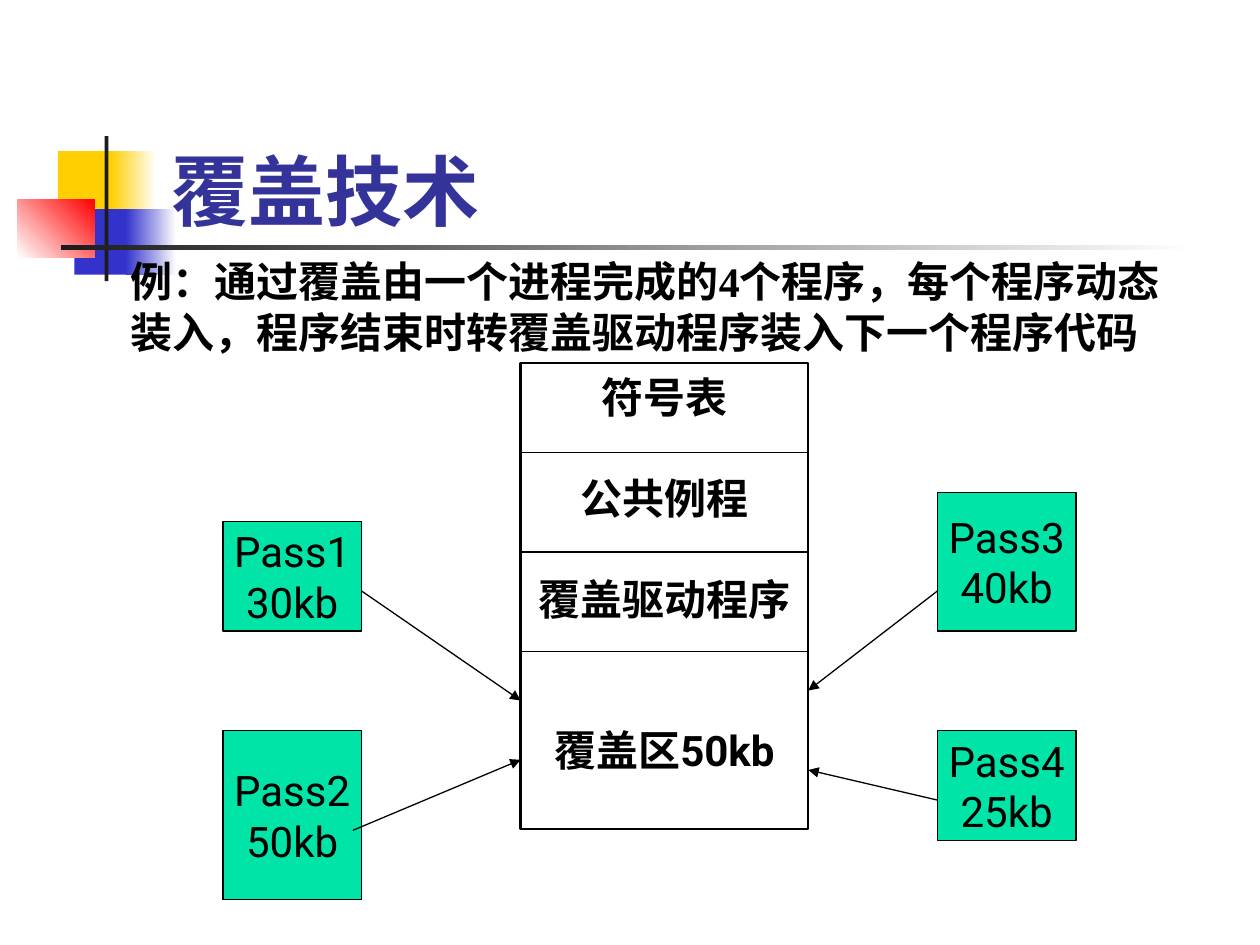
from pptx import Presentation
from pptx import util as u
from pptx.dml.color import RGBColor
from pptx.enum import shapes, text
from pptx.oxml.ns import qn
from lxml import etree

Pt = u.Pt
THEME = {
    "ink": "000000", "title": "333399", "pass": "00E4A8", "white": "FFFFFF",
    "yellow": "FFCF01", "blue": "3333CC", "red": "FF0000", "rule": "1C1C1C",
    "sans": "Roboto", "serif": "Times New Roman",
    "title_size": 44, "size": 24, "thin": 0.74, "thick": 1.25,
}

TITLE = "覆盖技术"
EXAMPLE = "例：通过覆盖由一个进程完成的4个程序，每个程序动态装入，程序结束时转覆盖驱动程序装入下一个程序代码"
# left, top, width, height, start colour, end colour, angle
ORNAMENTS = [
    (33.1, 86.4, 34.6, 37.4, "yellow", None, 0),
    (63.4, 86.4, 25.9, 37.4, "yellow", "white", 0),
    (42.5, 119.5, 33.1, 37.4, "blue", None, 0),
    (72, 119.5, 28.8, 37.4, "blue", "white", 0),
    (10, 113.8, 44, 33.1, "white", "red", 45),
    (59.8, 77.8, 2.2, 82.8, "rule", None, 0),
    (34.6, 140.2, 648, 2.4, "rule", "white", 0),
]
STACK = (297.5, 207.4, 164.4, 266.4)
LINE_PITCH = 28.8
# label, blank lines above it
REGIONS = [("符号表", 0), ("公共例程", 1), ("覆盖驱动程序", 1), ("覆盖区50kb", 2)]
DIVIDER_TOP, DIVIDER_STEP = 258.5, 56.9
PASS_WIDTH, LEFT_X, RIGHT_X = 79.2, 127.4, 535.7
# name, size, left, top, height, arrow start, arrow end height
PASSES = [
    ("Pass1", "30kb", LEFT_X, 298, 62.6, (206.6, 337.7), 400.3),
    ("Pass2", "50kb", LEFT_X, 417.6, 96.5, (201.6, 474.5), 434.2),
    ("Pass3", "40kb", RIGHT_X, 281.5, 79.2, (RIGHT_X, 337.7), 394.6),
    ("Pass4", "25kb", RIGHT_X, 417.6, 62.6, (RIGHT_X, 457.2), 440),
]


def color(name):
    """Return a theme colour."""
    return RGBColor.from_string(THEME[name])


def write(para, words, size="size", font="sans", ink="ink", bold=False):
    """Add one formatted run to a paragraph."""
    span = para.add_run()
    span.text = words
    span.font.size = Pt(THEME[size])
    span.font.name = THEME[font]
    span.font.bold = bold
    span.font.color.rgb = color(ink)


def add_box(page, place, fill=None, fade=None, angle=0, line=None):
    """Add a rectangle with a plain, graded or missing fill."""
    box = page.shapes.add_shape(shapes.MSO_SHAPE.RECTANGLE, *map(Pt, place))
    box.shadow.inherit = False
    if fade:
        box.fill.gradient()
        box.fill.gradient_angle = angle
        for stop, name in zip(box.fill.gradient_stops, (fill, fade)):
            stop.color.rgb = color(name)
    elif fill:
        box.fill.solid()
        box.fill.fore_color.rgb = color(fill)
    else:
        box.fill.background()
    if line:
        box.line.color.rgb = color("ink")
        box.line.width = Pt(THEME[line])
    else:
        box.line.fill.background()
    return box


def add_labels(box, labels, bold=False):
    """Write centred paragraphs, each with its number of blank lines above."""
    frame = box.text_frame
    frame.word_wrap = False
    for index, (words, gap) in enumerate(labels):
        para = frame.add_paragraph() if index else frame.paragraphs[0]
        para.alignment = text.PP_ALIGN.CENTER
        para.space_before = Pt(gap * LINE_PITCH)
        write(para, words, bold=bold)


def add_line(page, start, end, arrow=False):
    """Draw a thin straight line, with an arrowhead if asked."""
    line = page.shapes.add_connector(
        shapes.MSO_CONNECTOR.STRAIGHT, *map(Pt, start + end))
    line.line.color.rgb = color("ink")
    line.line.width = Pt(THEME["thin"])
    if arrow:
        etree.SubElement(line.line._get_or_add_ln(), qn("a:tailEnd"), type="triangle")
    etree.SubElement(line.element.spPr, qn("a:effectLst"))


def add_title(page):
    """Place and format the title, in front of the ornaments."""
    title = page.shapes.title
    title.left, title.top, title.width, title.height = map(Pt, (90.7, 48.2, 613.4, 90))
    title.element.getparent().append(title.element)
    title.text_frame.vertical_anchor = text.MSO_ANCHOR.BOTTOM
    para = title.text_frame.paragraphs[0]
    para.alignment = text.PP_ALIGN.LEFT
    write(para, TITLE, "title_size", ink="title", bold=True)


def add_stack(page):
    """Draw the memory column with its regions and dividers."""
    left, top, width, height = STACK
    stack = add_box(page, STACK, line="thick")
    stack.text_frame.vertical_anchor = text.MSO_ANCHOR.TOP
    stack.text_frame.margin_top = Pt(5)
    add_labels(stack, REGIONS, bold=True)
    for index in range(len(REGIONS) - 1):
        y = DIVIDER_TOP + index * DIVIDER_STEP
        add_line(page, (left, y), (left + width, y))


def add_passes(page):
    """Draw the four passes and their arrows to the overlay area."""
    for name, size, left, top, height, start, end_y in PASSES:
        box = add_box(page, (left, top, PASS_WIDTH, height), "pass", line="thin")
        box.text_frame.vertical_anchor = text.MSO_ANCHOR.MIDDLE
        add_labels(box, [(name, 0), (size, 0)])
        end_x = STACK[0] if left == LEFT_X else STACK[0] + STACK[2]
        add_line(page, start, (end_x, end_y), arrow=True)


def add_example(page):
    """Add the example sentence under the title."""
    box = page.shapes.add_textbox(*map(Pt, (67.7, 142.6, 624.2, 64.8)))
    box.text_frame.word_wrap = True
    para = box.text_frame.paragraphs[0]
    para.space_before = Pt(15)
    write(para, EXAMPLE, font="serif", bold=True)


deck = Presentation()
deck.slide_width, deck.slide_height = Pt(720), Pt(540)
page = deck.slides.add_slide(deck.slide_layouts[5])
for *place, fill, fade, angle in ORNAMENTS:
    add_box(page, place, fill, fade, angle)
add_title(page)
add_stack(page)
add_passes(page)
add_example(page)
deck.save("out.pptx")
